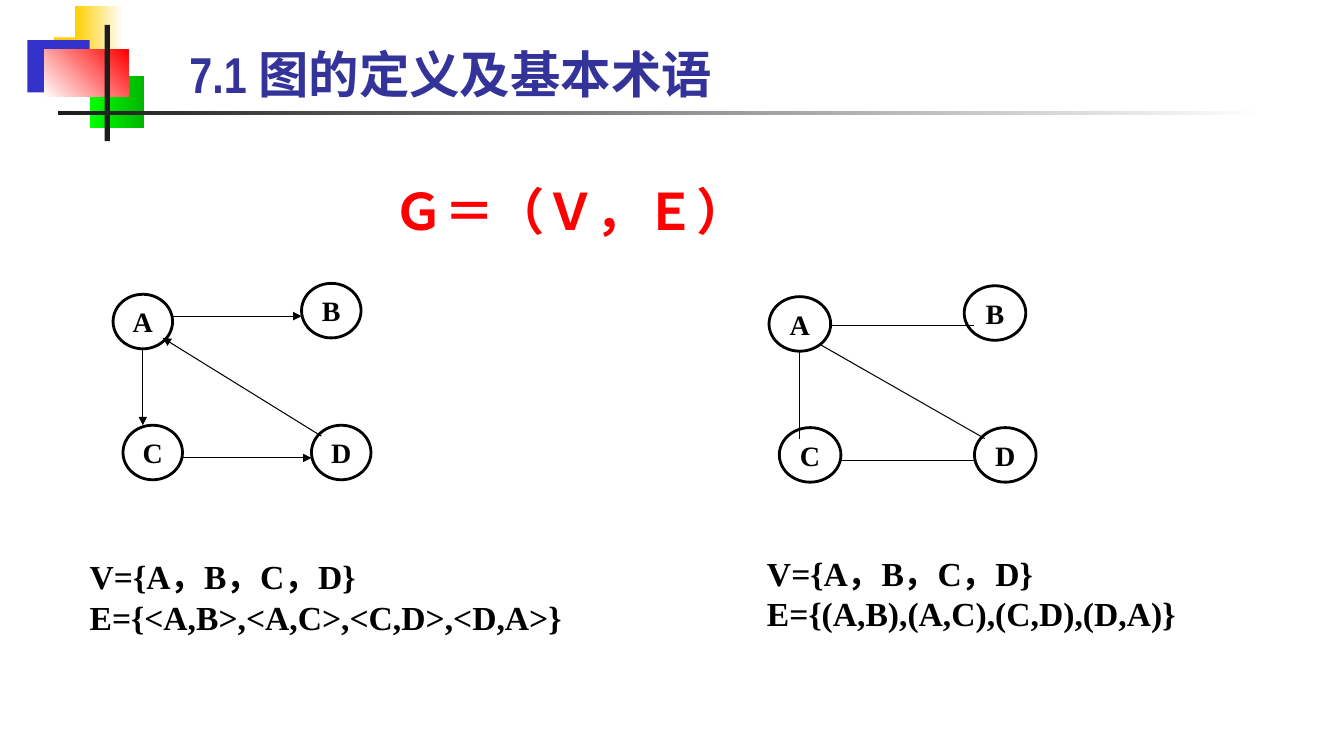
from dataclasses import dataclass

from lxml import etree
from pptx import Presentation
from pptx.dml.color import RGBColor
from pptx.enum.shapes import MSO_CONNECTOR, MSO_SHAPE
from pptx.enum.text import MSO_ANCHOR, PP_ALIGN
from pptx.oxml.ns import qn
from pptx.util import Cm, Pt

RECT, OVAL = MSO_SHAPE.RECTANGLE, MSO_SHAPE.OVAL
STRAIGHT = MSO_CONNECTOR.STRAIGHT
LEFT, CENTER, JUSTIFY = PP_ALIGN.LEFT, PP_ALIGN.CENTER, PP_ALIGN.JUSTIFY
TOP, MIDDLE, BOTTOM = MSO_ANCHOR.TOP, MSO_ANCHOR.MIDDLE, MSO_ANCHOR.BOTTOM


@dataclass(frozen=True)
class Theme:
    title: str = "333399"
    formula: str = "FF0000"
    ink: str = "000000"
    bar: str = "1C1C1C"
    white: str = "FFFFFF"
    yellow: str = "FFCF01"
    blue: str = "3333CC"
    green: str = "00FF00"
    dark_green: str = "00B600"
    red: str = "FF0000"
    title_font: str = "Arial Narrow"
    body_font: str = "Times New Roman"
    cjk_font: str = "Noto Sans CJK SC"
    title_size: int = 36
    body_size: int = 24
    node_size: int = 20
    node_line: float = 2
    edge_line: float = 0.75


THEME = Theme()

# Graph layout: a grid of columns and rows laid over the graph's box
COLS, ROWS = 26, 18
NODE_W, NODE_H = 6, 5
NODES = {"A": (0, 1), "B": (19, 0), "C": (1, 13), "D": (20, 13)}
DIRECTED_EDGES = [
    (6, 3, 19, 3), (3, 6, 3, 13), (7, 16, 20, 16), (21, 14, 5, 5)]
UNDIRECTED_EDGES = [
    (6, 3.6, 20, 3.6), (5, 5.4, 21, 14), (3, 6, 3, 14), (7, 16, 20, 16)]


def rgb(value):
    return RGBColor.from_string(value)


def write(sp, lines, font, size, color, align=LEFT, anchor=TOP, wrap=True):
    tf = sp.text_frame
    tf.word_wrap = wrap
    tf.vertical_anchor = anchor
    tf.text = "\n".join(lines)
    for p in tf.paragraphs:
        p.alignment = align
        for r in p.runs:
            r.font.name = font
            r.font.size = Pt(size)
            r.font.bold = True
            r.font.color.rgb = rgb(color)
            ea = etree.SubElement(r.font._element, qn("a:ea"))
            ea.set("typeface", THEME.cjk_font)


def add_block(slide, x, y, w, h, colors, angle=0):
    sp = slide.shapes.add_shape(RECT, Cm(x), Cm(y), Cm(w), Cm(h))
    sp.shadow.inherit = False
    sp.line.fill.background()
    if len(colors) == 1:
        sp.fill.solid()
        sp.fill.fore_color.rgb = rgb(colors[0])
    else:
        sp.fill.gradient()
        sp.fill.gradient_angle = angle
        for stop, color in zip(sp.fill.gradient_stops, colors):
            stop.color.rgb = rgb(color)


def add_ornament(slide, x, y):
    """Coloured blocks with the crossing bars."""
    t = THEME
    add_block(slide, x + 0.66, y + 0.79, 1.63, 1.32, [t.yellow])
    add_block(slide, x + 1.2, y, 1.22, 1.32, [t.yellow, t.white])
    add_block(slide, x, y + 0.86, 1.57, 1.32, [t.blue])
    add_block(slide, x + 1.58, y + 1.76, 1.37, 1.32, [t.green, t.dark_green])
    add_block(slide, x + 0.42, y + 1.11, 2.13, 1.18, [t.white, t.red], 45)
    add_block(slide, x + 1.95, y + 0.48, 0.13, 2.93, [t.bar])
    add_block(slide, x + 0.77, y + 2.66, 30.48, 0.09, [t.bar, t.white])


def add_title(slide, x, y, w, h):
    sp = slide.shapes.title
    sp.left, sp.top, sp.width, sp.height = Cm(x), Cm(y), Cm(w), Cm(h)
    write(sp, ["7.1 图的定义及基本术语"], THEME.title_font, THEME.title_size,
          THEME.title, anchor=BOTTOM)


def add_node(shapes, name, x, y, w, h):
    sp = shapes.add_shape(OVAL, Cm(x), Cm(y), Cm(w), Cm(h))
    sp.shadow.inherit = False
    sp.fill.background()
    sp.line.color.rgb = rgb(THEME.ink)
    sp.line.width = Pt(THEME.node_line)
    write(sp, [name], THEME.body_font, THEME.node_size, THEME.ink,
          CENTER, MIDDLE, wrap=False)


def add_edge(shapes, x1, y1, x2, y2, directed):
    line = shapes.add_connector(STRAIGHT, Cm(x1), Cm(y1), Cm(x2), Cm(y2))
    line.line.color.rgb = rgb(THEME.ink)
    line.line.width = Pt(THEME.edge_line)
    if directed:
        ln = line.line._get_or_add_ln()
        etree.SubElement(ln, qn("a:tailEnd")).set("type", "triangle")
    etree.SubElement(line._element.spPr, qn("a:effectLst"))


def add_graph(slide, x, y, w, h, edges, directed):
    """Four nodes and their edges, placed on the grid of the box."""
    shapes = slide.shapes.add_group_shape().shapes
    col, row = w / COLS, h / ROWS
    for name, (cx, cy) in NODES.items():
        add_node(shapes, name, x + cx * col, y + cy * row,
                 NODE_W * col, NODE_H * row)
    for x1, y1, x2, y2 in edges:
        add_edge(shapes, x + x1 * col, y + y1 * row,
                 x + x2 * col, y + y2 * row, directed)


def add_formula(slide, x, y, w, h):
    sp = slide.shapes.add_textbox(Cm(x), Cm(y), Cm(w), Cm(h))
    write(sp, ["Ｇ＝（Ｖ，Ｅ）"], THEME.cjk_font, THEME.title_size,
          THEME.formula, JUSTIFY, wrap=False)


def add_sets(slide, x, y, w, h, edge_set):
    sp = slide.shapes.add_textbox(Cm(x), Cm(y), Cm(w), Cm(h))
    write(sp, ["V={A，B，C，D}", edge_set], THEME.body_font, THEME.body_size,
          THEME.ink)


def main():
    prs = Presentation()
    prs.slide_width, prs.slide_height = Cm(33.87), Cm(19.05)
    slide = prs.slides.add_slide(prs.slide_layouts[5])

    # Heading
    add_ornament(slide, 0.69, 0.15)
    add_title(slide, 4.52, 0.64, 28.85, 2.11)
    add_formula(slide, 9.68, 4.42, 9.5, 1.8)

    # Directed graph
    add_graph(slide, 2.85, 7.14, 6.5, 4.95, DIRECTED_EDGES, True)
    add_sets(slide, 2.01, 13.89, 14.94, 2.34, "E={<A,B>,<A,C>,<C,D>,<D,A>}")

    # Undirected graph
    add_graph(slide, 19.38, 7.2, 6.73, 4.95, UNDIRECTED_EDGES, False)
    add_sets(slide, 19.08, 13.81, 14.94, 2.34, "E={(A,B),(A,C),(C,D),(D,A)}")

    prs.save("out.pptx")


if __name__ == "__main__":
    main()
